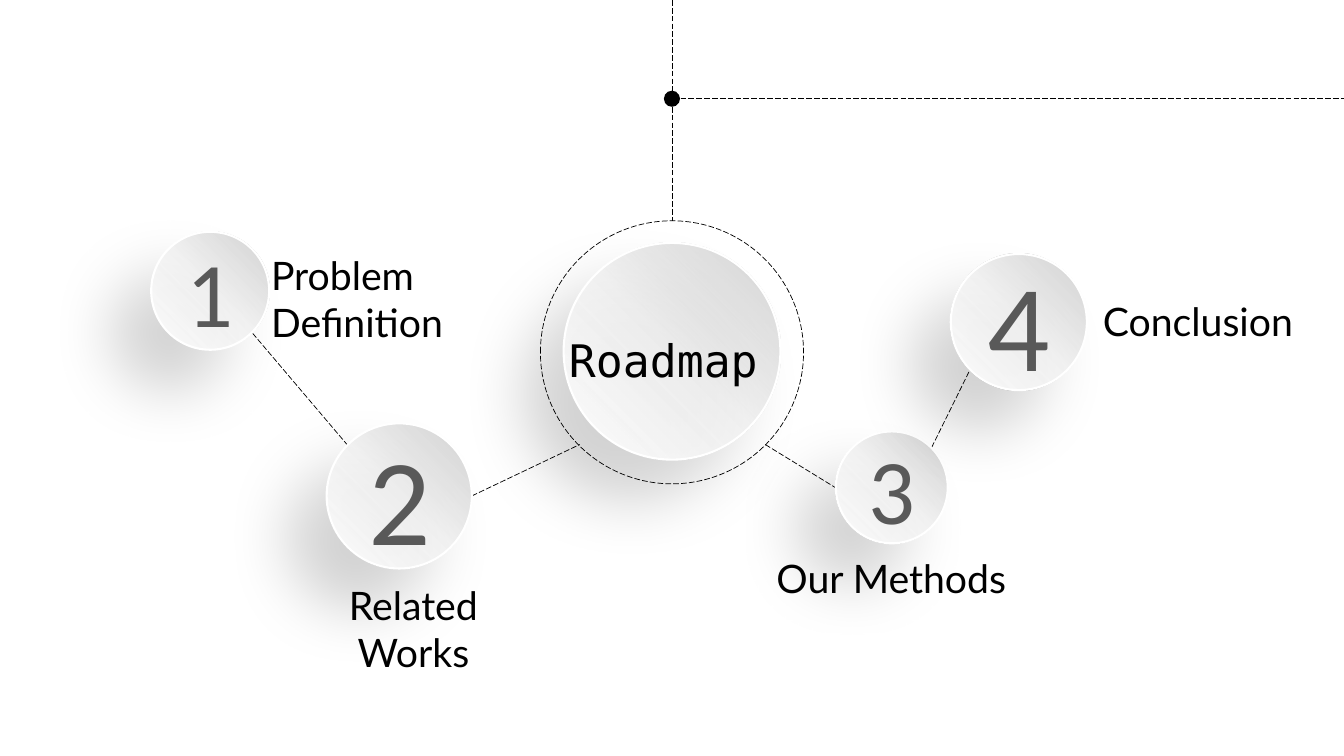
from pptx import Presentation
from pptx.dml.color import RGBColor
from pptx.enum.dml import MSO_LINE
from pptx.enum.shapes import MSO_CONNECTOR, MSO_SHAPE
from pptx.enum.text import MSO_ANCHOR, MSO_AUTO_SIZE, PP_ALIGN
from pptx.oxml import parse_xml
from pptx.oxml.ns import nsdecls, qn
from pptx.util import Inches, Pt

# Grid: square cells, 133.3 columns by 75 rows
CELL = Inches(0.1)
COLS, ROWS = 133.3, 75
MID = COLS / 2
NS = nsdecls("a")

deck = Presentation()
deck.slide_width, deck.slide_height = int(COLS * CELL), int(ROWS * CELL)
slide = deck.slides.add_slide(deck.slide_layouts[6])
shapes = slide.shapes


def grid(*cells):
    return [int(cell * CELL) for cell in cells]


def tint(target, color):
    if hasattr(target, "solid"):
        target.solid()
        target = target.fore_color
    else:
        target = target.color
    target.rgb = RGBColor.from_string(color)


# Dashed links behind the discs, then those of the top cross
links = [
    (MID, 0, MID, 9), (46.8, 49.2, 57.5, 44.1), (75.9, 44.1, 82.9, 48.4),
    (92.4, 44.4, 96.2, 36.7), (34.5, 44.2, 25, 33),
    (67.5, 9.8, COLS, 9.8), (MID, 10.6, MID, 21.9),
]
for ends in links:
    link = shapes.add_connector(MSO_CONNECTOR.STRAIGHT, *grid(*ends))
    tint(link.line, "000000")
    link.line.width = Pt(0.5)
    link.line.dash_style = MSO_LINE.LONG_DASH
    link._element.spPr.append(parse_xml(f"<a:effectLst {NS}/>"))

# Discs: centre, diameter, end opacity, digit, text size
hub = shapes.add_group_shape()
discs = [
    (88.45, 48.35, 11.1, 70, "3", 66),
    (101.05, 31.95, 13.5, 70, "4", 88),
    (39.6, 49.2, 14.4, 70, "2", 88),
    (20.85, 28.85, 11.7, 70, "1", 66),
    (MID, 34.85, 21.5, 64, "", 0),
]
for x, y, size, alpha, digit, points in discs:
    home = shapes if digit else hub.shapes
    box = grid(x - size / 2, y - size / 2, size, size)
    disc = home.add_shape(MSO_SHAPE.OVAL, *box)
    tint(disc.line, "FFFFFF")
    disc.line.width = Pt(1.5)
    # Light from the lower left
    disc.fill.gradient()
    props = disc._element.spPr
    stops = "".join(
        f'<a:gs pos="{pos}000"><a:srgbClr val="{color}">'
        f'<a:alpha val="{part}000"/></a:srgbClr></a:gs>'
        for pos, color, part in
        [(0, "FFFFFF", 100), (50, "F2F2F2", 80), (100, "BFBFBF", alpha)])
    props.replace(props.find(qn("a:gradFill")), parse_xml(
        f'<a:gradFill {NS} rotWithShape="1"><a:gsLst>{stops}</a:gsLst>'
        '<a:path path="circle"><a:fillToRect t="100000" r="100000"/></a:path>'
        '</a:gradFill>'))
    # Soft shadow to the lower left
    disc.shadow.inherit = False
    props.find(qn("a:effectLst")).append(parse_xml(
        f'<a:outerShdw {NS} blurRad="{Pt(45)}" dist="{Pt(40)}" dir="8100000" '
        'algn="tr" rotWithShape="0"><a:srgbClr val="000000">'
        '<a:alpha val="20000"/></a:srgbClr></a:outerShdw>'))
    if digit:
        frame = disc.text_frame
        frame.vertical_anchor = MSO_ANCHOR.MIDDLE
        for side in ("left", "right", "top", "bottom"):
            setattr(frame, f"margin_{side}", Inches(0.04))
        para = frame.paragraphs[0]
        para.text, para.alignment = digit, PP_ALIGN.CENTER
        for key, value in {"size": Pt(points), "name": "Calibri"}.items():
            setattr(para.font, key, value)
        tint(para.font.fill, "595959")

# Ring round the hub, and the dot where the links cross
for x, y, size, solid in [(MID, 34.95, 26.1, False), (MID, 9.8, 1.6, True)]:
    box = grid(x - size / 2, y - size / 2, size, size)
    round_ = shapes.add_shape(MSO_SHAPE.OVAL, *box)
    round_.shadow.inherit = False
    if solid:
        tint(round_.fill, "000000")
        round_.line.fill.background()
    else:
        round_.fill.background()
        tint(round_.line, "000000")
        round_.line.width = Pt(0.5)
        round_.line.dash_style = MSO_LINE.LONG_DASH

# Title in the hub and a label for each disc
mono = {"size": Pt(32), "name": "DejaVu Sans Mono"}
lato = {"size": Pt(28), "name": "Lato"}
left, mid = PP_ALIGN.LEFT, PP_ALIGN.CENTER
labels = [
    (hub.shapes, "Roadmap", (54.6, 32.5, 22.4, 6.4), mid, mono, False),
    (shapes, "Related Works", (28.4, 57.2, 25.2, 5.7), mid, lato, True),
    (shapes, "Problem Definition", (25.9, 24.4, 27.7, 10.4), left, lato, True),
    (shapes, "Our Methods", (73.7, 54.5, 29.4, 5.7), mid, lato, True),
    (shapes, "Conclusion", (108.4, 29, 22.9, 5.7), left, lato, True),
]
for home, words, box, align, style, wrap in labels:
    frame = home.add_textbox(*grid(*box)).text_frame
    frame.word_wrap = wrap
    frame.auto_size = MSO_AUTO_SIZE.SHAPE_TO_FIT_TEXT
    para = frame.paragraphs[0]
    para.text, para.alignment = words, align
    for key, value in style.items():
        setattr(para.font, key, value)
    tint(para.font.fill, "000000")

deck.save("out.pptx")
